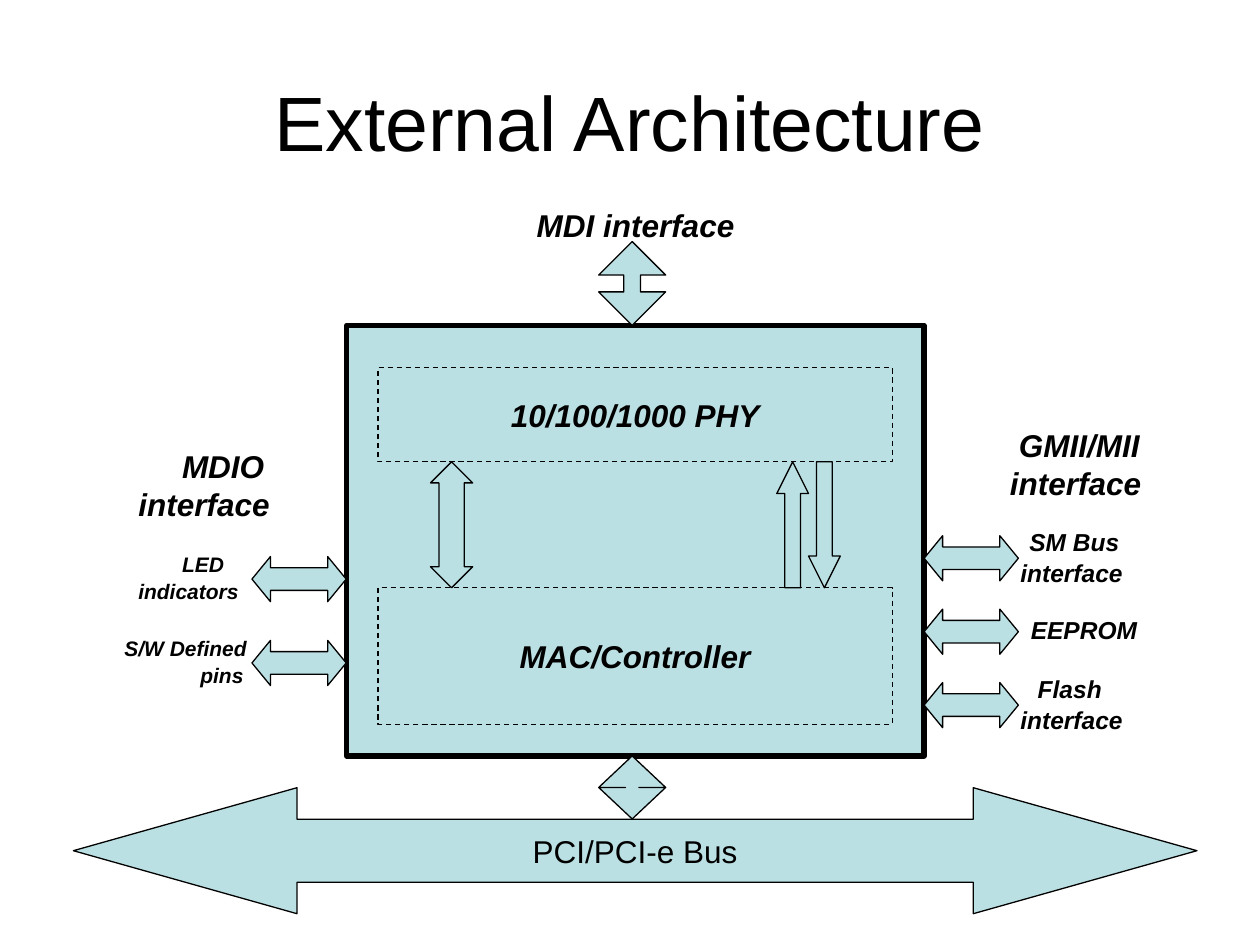
import pptx
import pptx.util
import pptx.dml.color
import pptx.enum.dml
import pptx.enum.shapes
import pptx.enum.text

Cm, Pt = pptx.util.Cm, pptx.util.Pt
SHAPE = pptx.enum.shapes.MSO_SHAPE
ALIGN = pptx.enum.text.PP_ALIGN
MIDDLE = pptx.enum.text.MSO_ANCHOR.MIDDLE
COLORS = {"fill": "BBE0E3", "ink": "000000"}


class Diagram:
    """Style and current slide of the diagram; lengths in centimetres."""

    font = "Arial"

    def __init__(self, slide):
        self.s = slide

    def color(self, name):
        return pptx.dml.color.RGBColor.from_string(COLORS[name])

    def run(self, p, text, size, strong=True):
        r = p.add_run()
        r.text = text
        r.font.name, r.font.size = self.font, Pt(size)
        r.font.bold = r.font.italic = strong
        r.font.color.rgb = self.color("ink")

    def title(self, text, x, y, w, h):
        sp = self.s.shapes.title
        sp.left, sp.top, sp.width, sp.height = Cm(x), Cm(y), Cm(w), Cm(h)
        tf = sp.text_frame
        tf.vertical_anchor = MIDDLE
        p = tf.paragraphs[0]
        p.alignment = ALIGN.CENTER
        self.run(p, text, 44, False)

    def shape(self, kind, x, y, w, h, line=0.75, dashed=False, adj=()):
        sp = self.s.shapes.add_shape(kind, Cm(x), Cm(y), Cm(w), Cm(h))
        sp.shadow.inherit = False
        sp.fill.solid()
        sp.fill.fore_color.rgb = self.color("fill")
        sp.line.color.rgb = self.color("ink")
        sp.line.width = Pt(line)
        if dashed:
            sp.line.dash_style = pptx.enum.dml.MSO_LINE.DASH
        for i, value in enumerate(adj):
            sp.adjustments[i] = value
        return sp

    def arrow(self, kind, x, y, w, h, head):
        return self.shape(kind, x, y, w, h, adj=(0.5, head))

    def caption(self, sp, text, strong=True):
        tf = sp.text_frame
        tf.word_wrap = False
        tf.vertical_anchor = MIDDLE
        p = tf.paragraphs[0]
        p.alignment = ALIGN.CENTER
        self.run(p, text, 18, strong)

    def label(self, x, y, w, h, size, lines, drop=0):
        """Lines are (text, indent); drop lowers the first line, in points."""
        sp = self.s.shapes.add_textbox(Cm(x), Cm(y), Cm(w), Cm(h))
        tf = sp.text_frame
        tf.word_wrap = True
        tf.margin_right = 0
        tf.margin_top = Pt(3.6 + drop)
        for i, (text, indent) in enumerate(lines):
            p = tf.add_paragraph() if i else tf.paragraphs[0]
            if indent:
                p._p.get_or_add_pPr().set("marL", str(Cm(indent)))
            if i and drop:
                p.space_before = Pt(1)
            self.run(p, text, size)


def main():
    prs = pptx.Presentation()
    prs.slide_width, prs.slide_height = Cm(25.4), Cm(19.05)
    d = Diagram(prs.slides.add_slide(prs.slide_layouts[5]))
    d.title("External Architecture", 1.27, 0.85, 22.86, 3.18)

    # Chip outline and system bus
    d.shape(SHAPE.RECTANGLE, 6.99, 6.56, 11.64, 8.68, line=3)
    bus = d.arrow(SHAPE.LEFT_RIGHT_ARROW, 1.48, 15.88, 22.65, 2.54, 1.775)
    d.caption(bus, "PCI/PCI-e Bus", strong=False)

    # Blocks inside the chip
    for text, y, h in (("10/100/1000 PHY", 7.41, 1.9),
                       ("MAC/Controller", 11.85, 2.75)):
        block = d.shape(SHAPE.RECTANGLE, 7.62, y, 10.37, h, dashed=True)
        d.caption(block, text)

    # Vertical links: bus, MDI, then PHY to MAC
    d.arrow(SHAPE.UP_DOWN_ARROW, 12.07, 15.24, 1.35, 1.27, 0.2)
    d.arrow(SHAPE.UP_DOWN_ARROW, 12.07, 4.87, 1.35, 1.69, 0.25)
    for kind, x, w, head in ((SHAPE.UP_DOWN_ARROW, 8.68, 0.85, 0.6),
                             (SHAPE.DOWN_ARROW, 16.3, 0.64, 1),
                             (SHAPE.UP_ARROW, 15.66, 0.64, 1)):
        d.arrow(kind, x, 9.31, w, 2.54, head)

    # Side links
    for x, tops in ((18.63, (10.8, 12.28, 13.76)), (5.08, (11.22, 12.91))):
        for y in tops:
            d.arrow(SHAPE.LEFT_RIGHT_ARROW, x, y, 1.9, 0.91, 0.41)

    # Interface headings
    d.label(10.39, 4.02, 4.67, 1.02, 18, [("MDI interface", 0.18)])
    d.label(20.11, 8.47, 3.28, 1.78, 18,
            [("GMII/MII", 0.18), ("interface", 0)])
    d.label(2.54, 8.89, 3.23, 1.78, 18, [("MDIO", 0.88), ("interface", 0)])

    # Labels of the side links
    d.label(20.32, 10.37, 2.57, 1.63, 14,
            [("SM Bus", 0.18), ("interface", 0)], drop=3.6)
    d.label(20.53, 12.28, 2.64, 0.86, 14, [("EEPROM", 0)])
    d.label(20.32, 13.34, 2.57, 1.63, 14,
            [("Flash", 0.35), ("interface", 0)], drop=3.6)
    d.label(2.54, 10.8, 2.51, 1.52, 12,
            [("LED", 0.88), ("indicators", 0)], drop=5.4)
    d.label(1.91, 12.49, 3.33, 1.52, 12,
            [("S/W Defined", 0.35), ("pins", 1.88)], drop=5.4)

    prs.save("out.pptx")


if __name__ == "__main__":
    main()
